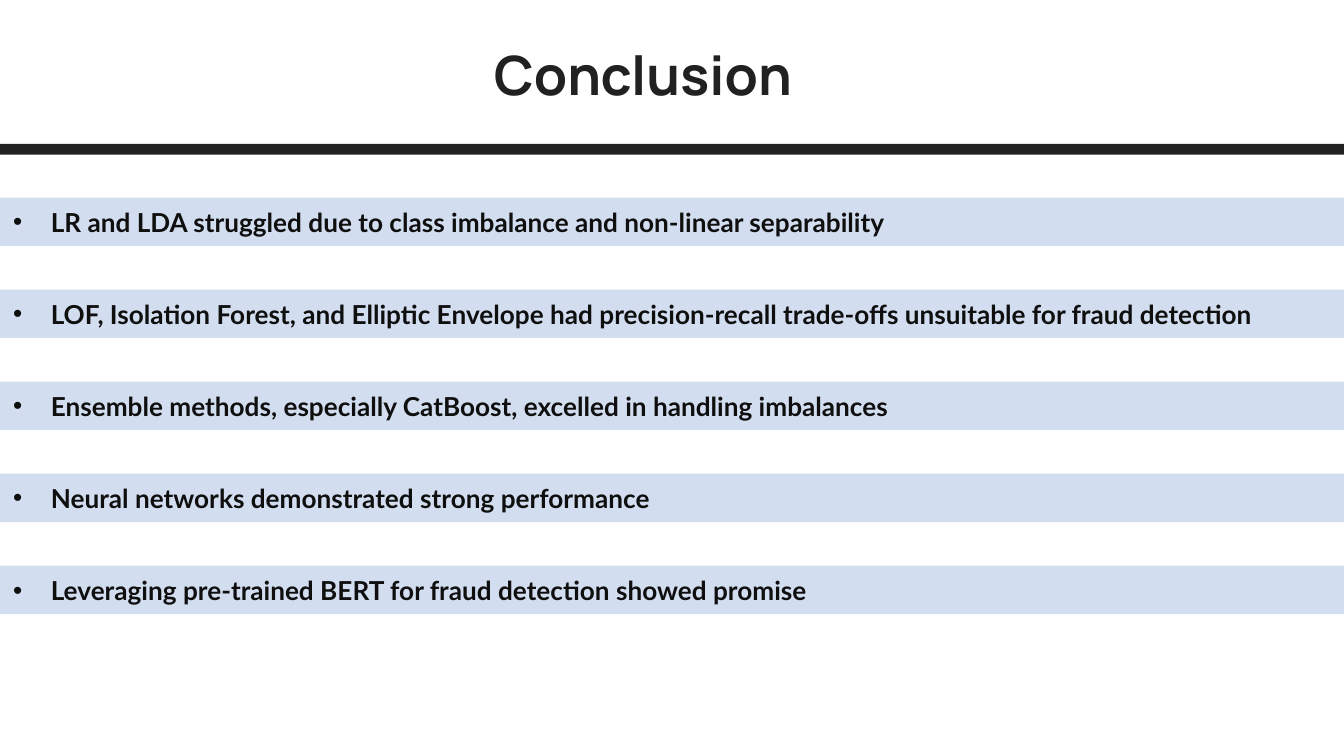
from pptx import Presentation
from pptx.dml.color import RGBColor
from pptx.enum.shapes import MSO_SHAPE
from pptx.enum.text import MSO_ANCHOR, MSO_AUTO_SIZE, PP_ALIGN
from pptx.oxml.ns import qn
from pptx.util import Inches, Pt
from lxml.etree import SubElement

TITLE = "Conclusion"
POINTS = [
    "LR and LDA struggled due to class imbalance and non-linear separability",
    "LOF, Isolation Forest, and Elliptic Envelope had precision-recall trade-offs unsuitable for fraud detection",
    "Ensemble methods, especially CatBoost, excelled in handling imbalances",
    "Neural networks demonstrated strong performance",
    "Leveraging pre-trained BERT for fraud detection showed promise",
]
COLORS = {"dark": "212121", "band": "D2DEEF", "text": "0F0F0F"}
WIDTH = 10
HEIGHT = WIDTH * 9 / 16
FIRST_BAND, LAST_BAND, BAND_HEIGHT = 1.47, 4.21, 0.36
INDENT = Inches(0.28)


def add_bar(s, top, height, color):
    sp = s.shapes.add_shape(
        MSO_SHAPE.RECTANGLE, 0, Inches(top), Inches(WIDTH), Inches(height))
    sp.shadow.inherit = False
    sp.fill.solid()
    sp.fill.fore_color.rgb = RGBColor.from_string(COLORS[color])
    sp.line.fill.background()
    return sp


def format_font(p, name, size, color):
    for r in p.runs:
        r.font.name = name
        r.font.size = Pt(size)
        r.font.bold = True
        r.font.color.rgb = RGBColor.from_string(COLORS[color])


def add_bullet(p):
    pPr = p._p.get_or_add_pPr()
    pPr.set("marL", str(INDENT))
    pPr.set("indent", str(-INDENT))
    SubElement(pPr, qn("a:buFont")).set("typeface", "Arial")
    SubElement(pPr, qn("a:buChar")).set("char", "•")


prs = Presentation()
prs.slide_width, prs.slide_height = Inches(WIDTH), Inches(HEIGHT)
s = prs.slides.add_slide(prs.slide_layouts[5])

add_bar(s, 1.07, 0.08, "dark")

title = s.shapes.title
title.left, title.top = Inches(1.79), Inches(0.12)
title.width, title.height = Inches(5.99), Inches(1.11)
tf = title.text_frame
tf.text = TITLE
tf.auto_size = MSO_AUTO_SIZE.NONE
tf.vertical_anchor = MSO_ANCHOR.BOTTOM
tf.margin_left = tf.margin_right = Inches(0.07)
tf.margin_top, tf.margin_bottom = Inches(0.04), Inches(0.44)
tf.paragraphs[0].alignment = PP_ALIGN.CENTER
format_font(tf.paragraphs[0], "Manrope", 29, "dark")

pitch = (LAST_BAND - FIRST_BAND) / (len(POINTS) - 1)
for row, point in enumerate(POINTS):
    tf = add_bar(s, FIRST_BAND + row * pitch, BAND_HEIGHT, "band").text_frame
    tf.text = point
    tf.word_wrap = True
    tf.vertical_anchor = MSO_ANCHOR.MIDDLE
    p = tf.paragraphs[0]
    p.alignment = PP_ALIGN.LEFT
    add_bullet(p)
    format_font(p, "Lato", 14, "text")

prs.save("out.pptx")
